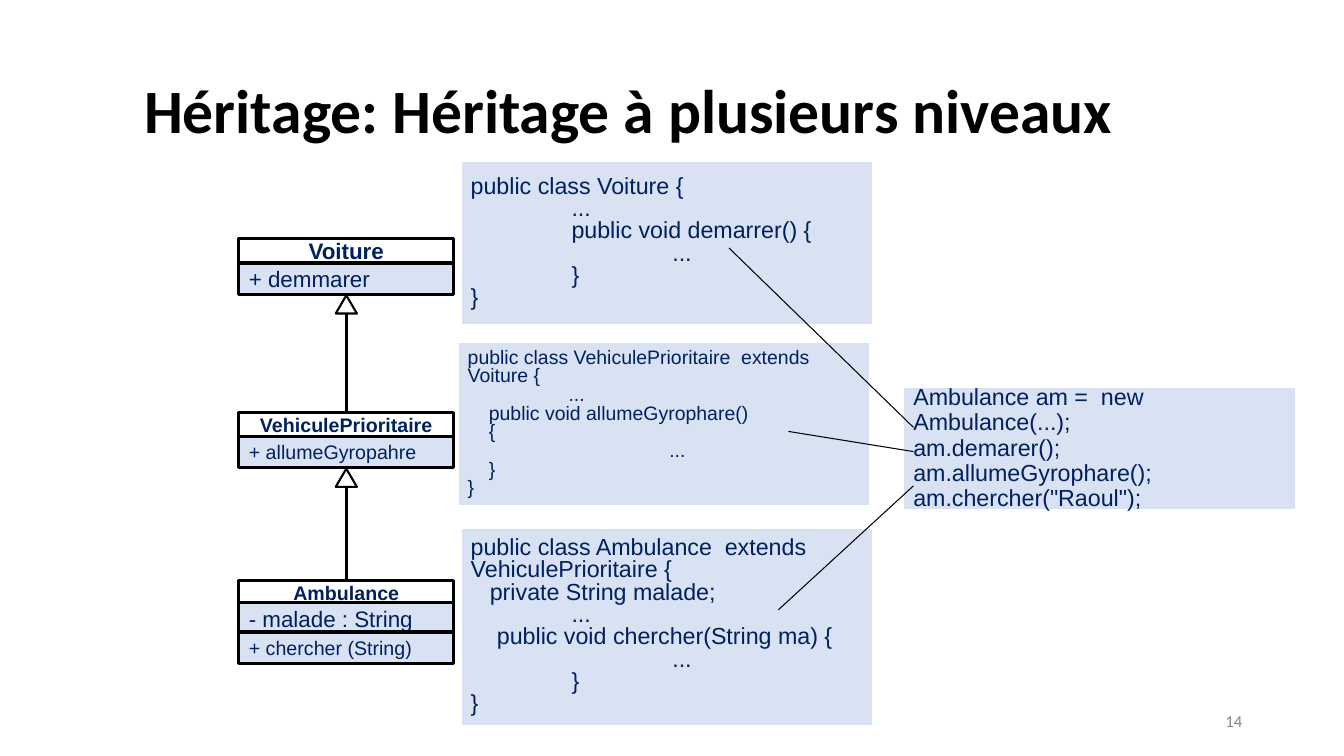
from pptx import Presentation
from pptx import util as u
from pptx.dml.color import RGBColor
from pptx.enum import shapes, text
from pptx.oxml.ns import qn
from lxml import etree

COLORS = {"black": "000000", "white": "FFFFFF", "navy": "002060",
          "pale": "D8E2F3", "grey": "888888"}
CLASS_X, CLASS_W = 2.37, 2.13
HEAD_H, ROW_H = 0.24, 0.31

# Class boxes: name, top, name size, members as (top, text, size)
CLASSES = [
    ("Voiture", 2.37, 16, [(2.61, "+ demmarer", 16)]),
    ("VehiculePrioritaire", 4.09, 14, [(4.33, "+ allumeGyropahre", 14)]),
    ("Ambulance", 5.76, 14, [(5.98, "- malade : String", 16),
                             (6.27, "+ chercher (String)", 14)]),
]

# Code panels: box, size, line spacing, lines as (indent in inches, text)
PANELS = [
    ((4.57, 1.6, 4.09, 1.63), 16.6, 0.8, [
        (0, "public class Voiture {"), (1, "..."),
        (1, "public void demarrer() {"), (2, "..."), (1, "}"), (0, "}")]),
    ((4.54, 3.39, 4.09, 1.63), 13.9, 0.8, [
        (0, "public class VehiculePrioritaire  extends Voiture {"), (1, "..."),
        (0.21, "public void allumeGyrophare()"), (0.21, "{"), (2, "..."),
        (0.21, "}"), (0, "}")]),
    ((4.57, 5.24, 4.09, 1.96), 16.6, 0.8, [
        (0, "public class Ambulance  extends VehiculePrioritaire {"),
        (0.19, "private String malade;"), (1, "..."),
        (0.26, "public void chercher(String ma) {"), (2, "..."),
        (1, "}"), (0, "}")]),
    ((8.96, 3.84, 3.89, 1.22), 16.6, 0.9, [
        (0, "Ambulance am =  new Ambulance(...);"), (0, "am.demarer();"),
        (0, "am.allumeGyrophare();"), (0, 'am.chercher("Raoul");')]),
]

# Links from each call to the method it runs
CALLS = [((9.06, 4.24), (7.23, 2.46)),
         ((9.06, 4.48), (7.82, 4.28)),
         ((9.06, 4.82), (7.72, 6.05))]


def rgb(name):
    return RGBColor.from_string(COLORS[name])


def write(sp, lines, size, color="navy", font="Arial", bold=False,
          align=text.PP_ALIGN.LEFT, spacing=1.0):
    tf = sp.text_frame
    tf.word_wrap = True
    tf.vertical_anchor = text.MSO_ANCHOR.MIDDLE
    for i, (indent, line) in enumerate(lines):
        p = tf.paragraphs[0] if i == 0 else tf.add_paragraph()
        p.text = line
        p.alignment = align
        p.line_spacing = spacing
        p.font.name, p.font.size, p.font.bold = font, u.Pt(size), bold
        p.font.color.rgb = rgb(color)
        if indent:
            pPr = p._p.get_or_add_pPr()
            pPr.set("marL", str(u.Inches(indent)))
            pPr.set("indent", "0")


def add_label(s, box, line, size, **style):
    sp = s.shapes.add_textbox(*map(u.Inches, box))
    write(sp, [(0, line)], size, font="Calibri", **style)
    return sp


def add_box(s, box, fill, line, width, kind=shapes.MSO_SHAPE.RECTANGLE):
    sp = s.shapes.add_shape(kind, *map(u.Inches, box))
    sp.shadow.inherit = False
    sp.fill.solid()
    sp.fill.fore_color.rgb = rgb(fill)
    sp.line.color.rgb = rgb(line)
    sp.line.width = u.Pt(width)
    return sp


def add_line(s, start, end, width):
    c = s.shapes.add_connector(shapes.MSO_CONNECTOR.STRAIGHT,
                               *map(u.Inches, start + end))
    c.line.color.rgb = rgb("black")
    c.line.width = u.Pt(width)
    etree.SubElement(c._element.spPr, qn("a:effectLst"))
    return c


def add_class(s, name, top, size, members):
    head = add_box(s, (CLASS_X, top, CLASS_W, HEAD_H), "white", "black", 2.25)
    write(head, [(0, name)], size, bold=True, align=text.PP_ALIGN.CENTER)
    for y, member, member_size in members:
        row = add_box(s, (CLASS_X, y, CLASS_W, ROW_H), "pale", "black", 2.25)
        write(row, [(0, member)], member_size)
    return head


def add_inheritance(s, parent_bottom, child_top, child):
    x = CLASS_X + CLASS_W / 2
    c = add_line(s, (x, parent_bottom + 0.1), (x, child_top), 2.25)
    c.end_connect(child, 0)
    add_box(s, (x - 0.105, parent_bottom + 0.01, 0.21, 0.18), "white", "black",
            1.5, shapes.MSO_SHAPE.ISOSCELES_TRIANGLE)


def main():
    prs = Presentation()
    prs.slide_width, prs.slide_height = u.Inches(13.33), u.Inches(7.5)
    s = prs.slides.add_slide(prs.slide_layouts[6])

    # Title and page number
    title = add_label(s, (0.92, 0.4, 11.5, 1.45),
                      "Héritage: Héritage à plusieurs niveaux", 44,
                      color="black", bold=True, spacing=0.9)
    title.text_frame.margin_left = u.Inches(0.51)
    add_label(s, (9.42, 6.95, 3, 0.4), "14", 12, color="grey",
              align=text.PP_ALIGN.RIGHT)

    # Class diagram
    heads = [add_class(s, *item) for item in CLASSES]
    for parent, child, head in zip(CLASSES, CLASSES[1:], heads[1:]):
        add_inheritance(s, parent[3][-1][0] + ROW_H, child[1], head)

    # Code panels
    for box, size, spacing, lines in PANELS:
        write(add_box(s, box, "pale", "white", 1.5), lines, size,
              spacing=spacing)

    # Call links
    for start, end in CALLS:
        add_line(s, start, end, 0.75)

    prs.save("out.pptx")


if __name__ == "__main__":
    main()
